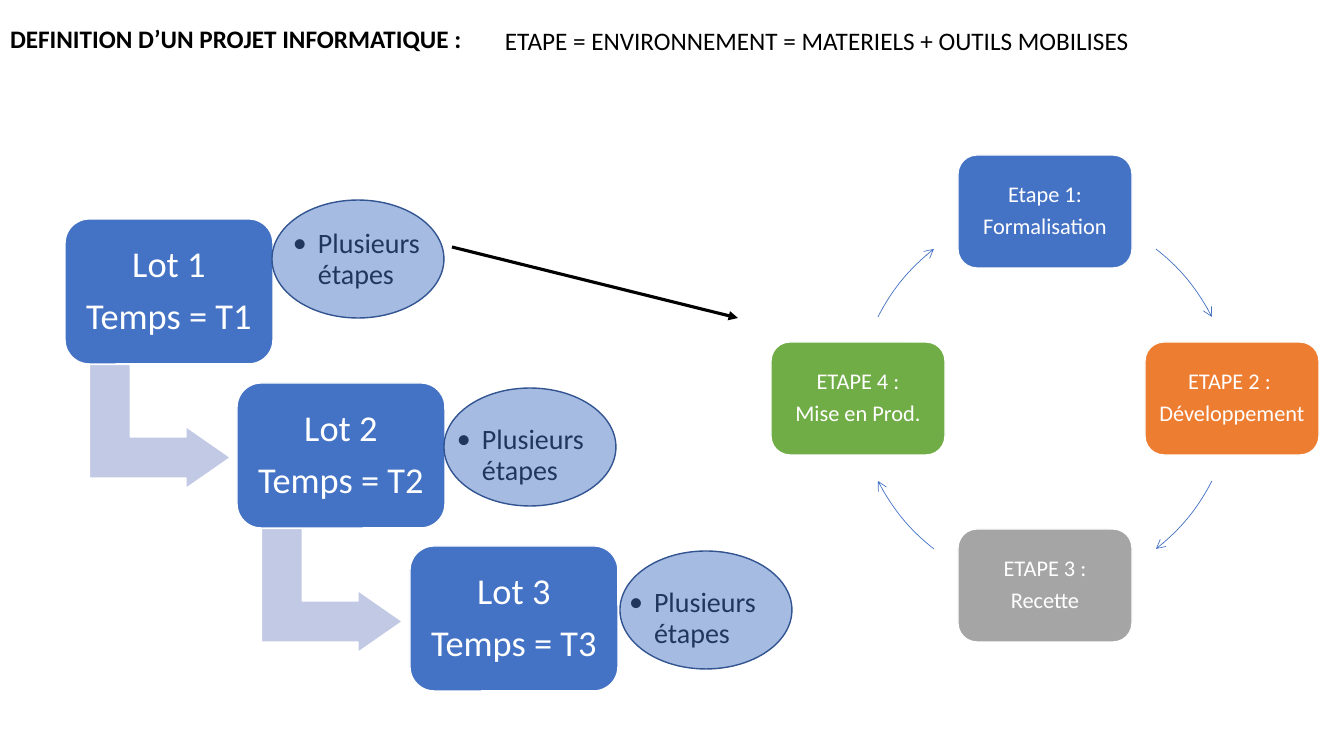
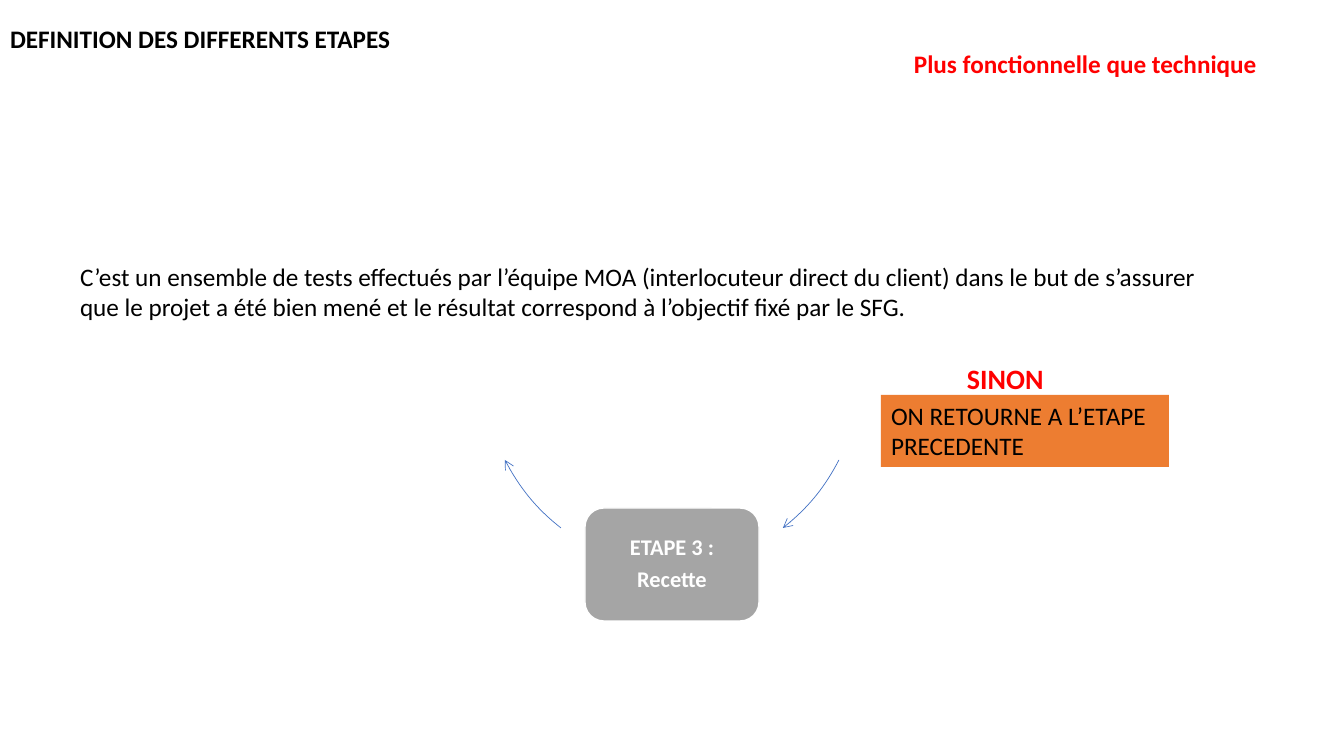
from dataclasses import dataclass, replace
from typing import Any, Optional

from lxml import etree
from pptx import Presentation
from pptx.dml.color import RGBColor
from pptx.enum.shapes import MSO_CONNECTOR, MSO_SHAPE
from pptx.enum.text import MSO_ANCHOR, PP_ALIGN
from pptx.oxml.ns import qn
from pptx.util import Pt

SCALE = 914400 / 100.8
FONT = "Calibri"

BLACK = RGBColor(0x00, 0x00, 0x00)
WHITE = RGBColor(0xFF, 0xFF, 0xFF)
RED = RGBColor(0xFF, 0x00, 0x00)
BLUE = RGBColor(0x44, 0x72, 0xC4)
DARK_BLUE = RGBColor(0x32, 0x54, 0x91)
PALE_BLUE = RGBColor(0xC1, 0xC9, 0xE4)
ORANGE = RGBColor(0xED, 0x7D, 0x31)
GREY = RGBColor(0xA5, 0xA5, 0xA5)
GREEN = RGBColor(0x70, 0xAD, 0x47)

RECTANGLE = MSO_SHAPE.RECTANGLE
ROUNDED = MSO_SHAPE.ROUNDED_RECTANGLE
ELLIPSE = MSO_SHAPE.OVAL
BENT_ARROW = MSO_SHAPE.BENT_UP_ARROW
STRAIGHT = MSO_CONNECTOR.STRAIGHT
LEFT, CENTER = PP_ALIGN.LEFT, PP_ALIGN.CENTER
TOP, MIDDLE = MSO_ANCHOR.TOP, MSO_ANCHOR.MIDDLE


@dataclass(frozen=True)
class Box:
    left: int
    top: int
    width: int
    height: int

    def emu(self) -> list[int]:
        return [px(value) for value in (self.left, self.top, self.width, self.height)]


@dataclass(frozen=True)
class TextStyle:
    size: int = 18
    color: RGBColor = BLACK
    bold: bool = False
    align: Any = LEFT
    anchor: Any = TOP
    line_spacing: float = 1.0
    space_after: float = 0
    inset_x: int = 10
    inset_y: int = 5
    bullet: bool = False


@dataclass(frozen=True)
class Lot:
    left: int
    top: int
    label: tuple[str, str]
    note: tuple[int, int]
    ellipse: tuple[int, int]
    leads_on: bool = True


@dataclass(frozen=True)
class Step:
    lines: tuple[str, str]
    color: RGBColor
    direction: tuple[int, int]


TITLE = TextStyle(bold=True)
BODY = TextStyle()
WARNING = TextStyle(color=RED, bold=True)
LOT_TEXT = TextStyle(26, WHITE, False, CENTER, MIDDLE, 0.9, 9, 11, 11)
STEP_TEXT = TextStyle(16, WHITE, False, CENTER, MIDDLE, 0.9, 5.6, 7, 7)
NOTE_TEXT = TextStyle(20, BLACK, False, LEFT, MIDDLE, 0.9, 3, 11, 11, True)

LOTS = (
    Lot(65, 219, ("Lot 1", "Temps = T1"), (282, 201), (272, 200)),
    Lot(237, 383, ("Lot 2", "Temps = T2"), (446, 397), (444, 388)),
    Lot(410, 546, ("Lot 3", "Temps = T3"), (618, 560), (620, 551), False),
)
RECETTE = Step(("ETAPE 3 :", "Recette"), GREY, (0, 1))
STEPS = (
    Step(("Etape 1:", "Formalisation"), BLUE, (0, -1)),
    Step(("ETAPE 2 : ", "Développement"), ORANGE, (1, 0)),
    RECETTE,
    Step(("ETAPE 4 :", "Mise en Prod."), GREEN, (-1, 0)),
)
RADIUS = 187
STEP_WIDTH, STEP_HEIGHT = 174, 113
ARC = ((111, 150), (134, 132), (153, 109), (167, 82))
LOWER_QUADRANTS = ((1, 1), (-1, 1))
QUADRANTS = ((1, -1), *LOWER_QUADRANTS, (-1, -1))


def px(value: float) -> int:
    return round(value * SCALE)


def apply(target: Any, values: dict[str, Any]) -> None:
    for name, value in values.items():
        setattr(target, name, value)


def write(shape: Any, lines: tuple[str, ...], style: TextStyle) -> None:
    frame = shape.text_frame
    apply(frame, {
        "word_wrap": True,
        "vertical_anchor": style.anchor,
        "margin_left": px(style.inset_x),
        "margin_right": px(style.inset_x),
        "margin_top": px(style.inset_y),
        "margin_bottom": px(style.inset_y),
    })
    for index, line in enumerate(lines):
        paragraph = frame.add_paragraph() if index else frame.paragraphs[0]
        apply(paragraph, {
            "alignment": style.align,
            "line_spacing": style.line_spacing,
            "space_after": Pt(style.space_after),
        })
        run = paragraph.add_run()
        run.text = line
        apply(run.font, {"name": FONT, "size": Pt(style.size), "bold": style.bold})
        run.font.color.rgb = style.color
        if style.bullet:
            paragraph.level = 1
            properties = paragraph._p.get_or_add_pPr()
            properties.set("marL", str(px(25)))
            properties.set("indent", str(-px(25)))
            etree.SubElement(properties, qn("a:buFont"), typeface=FONT)
            etree.SubElement(properties, qn("a:buChar"), char="•")


def add_text(slide: Any, box: Box, text: str, style: TextStyle) -> None:
    write(slide.shapes.add_textbox(*box.emu()), (text,), style)


def add_filled(slide: Any, kind: Any, box: Box, fill: RGBColor,
               outline: Optional[RGBColor] = WHITE) -> Any:
    shape = slide.shapes.add_shape(kind, *box.emu())
    shape.shadow.inherit = False
    shape.fill.solid()
    shape.fill.fore_color.rgb = fill
    if outline is None:
        shape.line.fill.background()
    else:
        shape.line.color.rgb = outline
        shape.line.width = Pt(1)
    return shape


def style_arrow(shape: Any, color: RGBColor, width: float, head: str) -> None:
    shape.line.color.rgb = color
    shape.line.width = Pt(width)
    outline = shape._element.spPr.find(qn("a:ln"))
    etree.SubElement(outline, qn("a:tailEnd"), type=head)


def add_arc(slide: Any, center: tuple[int, int], quadrant: tuple[int, int]) -> None:
    clockwise = ARC if quadrant[0] != quadrant[1] else ARC[::-1]
    start, *others = [
        tuple(px(c + sign * offset) for c, sign, offset in zip(center, quadrant, point))
        for point in clockwise
    ]
    builder = slide.shapes.build_freeform(*start)
    builder.add_line_segments(others, close=False)
    shape = builder.convert_to_shape()
    shape.shadow.inherit = False
    shape.fill.background()
    segments = list(shape._element.iter(qn("a:lnTo")))
    outline = segments[0].getparent()
    curve = etree.SubElement(outline, qn("a:cubicBezTo"))
    for segment in segments:
        curve.append(segment[0])
        outline.remove(segment)
    fit_to_ring(shape, outline, center)
    style_arrow(shape, BLUE, 0.5, "arrow")


def fit_to_ring(shape: Any, outline: Any, center: tuple[int, int]) -> None:
    left, top = (px(c - RADIUS) for c in center)
    side = px(2 * RADIUS)
    for point in outline.iter(qn("a:pt")):
        point.set("x", str(int(point.get("x")) + shape.left - left))
        point.set("y", str(int(point.get("y")) + shape.top - top))
    outline.set("w", str(side))
    outline.set("h", str(side))
    apply(shape, {"left": left, "top": top, "width": side, "height": side})


def add_cycle(slide: Any, center: tuple[int, int], steps: tuple[Step, ...],
              quadrants: tuple[tuple[int, int], ...], style: TextStyle) -> None:
    for step in steps:
        x, y = (c + RADIUS * d for c, d in zip(center, step.direction))
        box = Box(x - STEP_WIDTH // 2, y - (STEP_HEIGHT + 1) // 2, STEP_WIDTH, STEP_HEIGHT)
        write(add_filled(slide, ROUNDED, box, step.color), step.lines, style)
    for quadrant in quadrants:
        add_arc(slide, center, quadrant)


def add_lot(slide: Any, lot: Lot) -> None:
    if lot.leads_on:
        arrow = add_filled(slide, BENT_ARROW, Box(lot.left + 33, lot.top + 137, 124, 141),
                           PALE_BLUE)
        arrow.rotation = 90
        for index, value in enumerate((0.33, 0.25, 0.36)):
            arrow.adjustments[index] = value
    write(add_filled(slide, ROUNDED, Box(lot.left, lot.top, 208, 145), BLUE),
          lot.label, LOT_TEXT)
    add_text(slide, Box(*lot.note, 151, 118), "Plusieurs étapes", NOTE_TEXT)
    ellipse = add_filled(slide, ELLIPSE, Box(*lot.ellipse, 172, 118), BLUE, DARK_BLUE)
    color = ellipse._element.spPr.find(qn("a:solidFill"))[0]
    etree.SubElement(color, qn("a:alpha"), val="48000")


def add_titled_slide(presentation: Any, title: str) -> Any:
    slide = presentation.slides.add_slide(presentation.slide_layouts[6])
    add_text(slide, Box(0, 18, 500, 40), title, TITLE)
    return slide


def build_project_slide(presentation: Any) -> None:
    slide = add_titled_slide(presentation, "DEFINITION D’UN PROJET INFORMATIQUE :")
    for lot in LOTS:
        add_lot(slide, lot)
    add_cycle(slide, (1045, 399), STEPS, QUADRANTS, STEP_TEXT)
    connector = slide.shapes.add_connector(STRAIGHT, px(452), px(247), px(738), px(318))
    style_arrow(connector, BLACK, 2.25, "triangle")
    etree.SubElement(connector._element.spPr, qn("a:effectLst"))
    add_text(slide, Box(495, 20, 708, 40),
             "ETAPE = ENVIRONNEMENT = MATERIELS + OUTILS MOBILISES", BODY)


def build_acceptance_slide(presentation: Any) -> None:
    slide = add_titled_slide(presentation, "DEFINITION DES DIFFERENTS ETAPES")
    add_cycle(slide, (672, 378), (RECETTE,), LOWER_QUADRANTS, replace(STEP_TEXT, bold=True))
    add_text(slide, Box(70, 256, 1146, 72),
             "C’est un ensemble de tests effectués par l’équipe MOA (interlocuteur direct "
             "du client) dans le but de s’assurer que le projet a été bien mené et le "
             "résultat correspond à l’objectif fixé par le SFG.", BODY)
    add_text(slide, Box(957, 356, 214, 44), "SINON", replace(WARNING, size=20))
    add_text(slide, Box(904, 43, 369, 40), "Plus fonctionnelle que technique", WARNING)
    fallback = add_filled(slide, RECTANGLE, Box(881, 395, 288, 72), ORANGE, None)
    write(fallback, ("ON RETOURNE A L’ETAPE PRECEDENTE",), BODY)


def main() -> None:
    presentation = Presentation()
    apply(presentation, {"slide_width": px(1344), "slide_height": px(756)})
    build_project_slide(presentation)
    build_acceptance_slide(presentation)
    presentation.save("out.pptx")


main()
